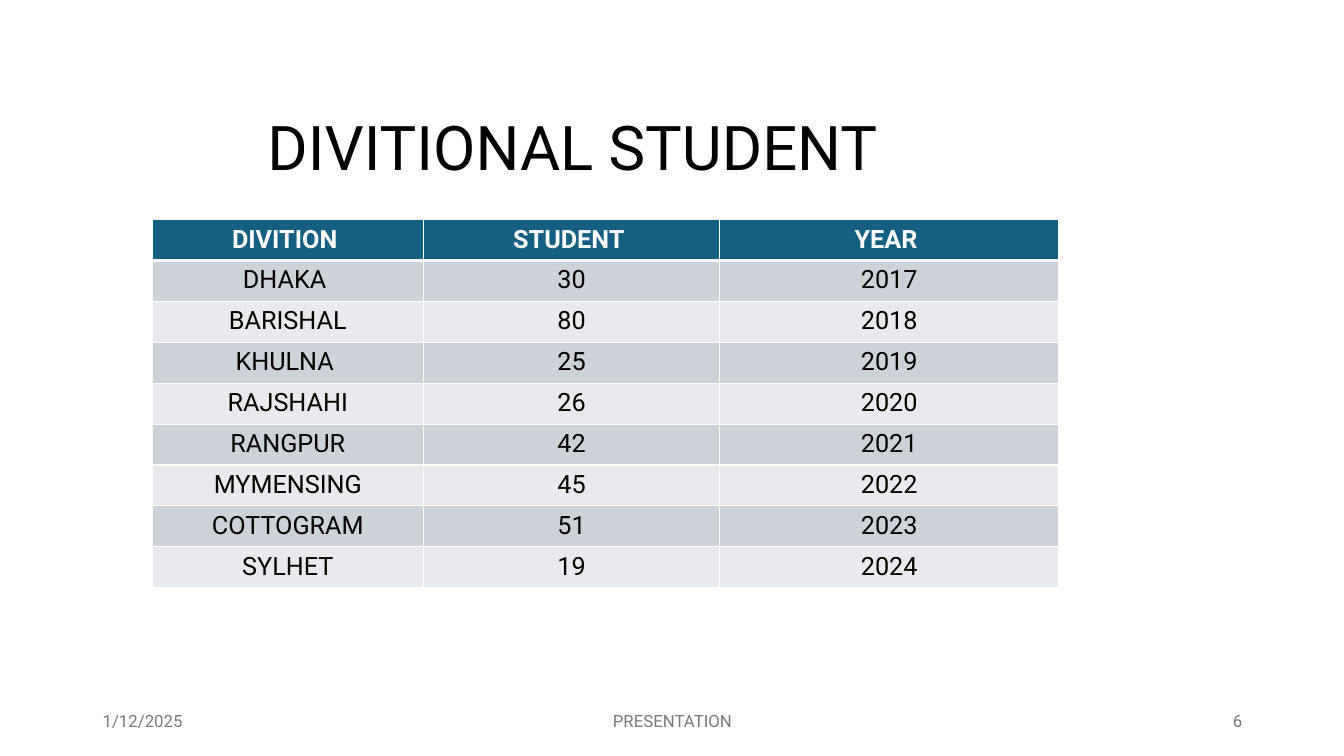
"""Build the divisional student table slide."""
import pptx
import pptx.dml.color
import pptx.enum.text
import pptx.oxml
import pptx.oxml.ns
import pptx.util

Inches = pptx.util.Inches
Pt = pptx.util.Pt
RGB = pptx.dml.color.RGBColor.from_string
ALIGN = pptx.enum.text.PP_ALIGN
ANCHOR = pptx.enum.text.MSO_ANCHOR

COLORS = {
    "ink": "000000",
    "white": "FFFFFF",
    "header": "156082",
    "odd": "CCD2D8",
    "even": "E8EAED",
    "footer": "797979",
}


def write(frame, text, align, size, color, bold=False):
    paragraph = frame.paragraphs[0]
    paragraph.alignment = align
    run = paragraph.add_run()
    run.text = text
    for name, value in {"name": "Roboto", "size": Pt(size), "bold": bold}.items():
        setattr(run.font, name, value)
    run.font.color.rgb = RGB(COLORS[color])
    return paragraph


def add_border(cell, side, width):
    cell._tc.get_or_add_tcPr().append(pptx.oxml.parse_xml(
        f'<a:{side} {pptx.oxml.ns.nsdecls("a")} w="{Pt(width)}"><a:solidFill>'
        f'<a:srgbClr val="{COLORS["white"]}"/></a:solidFill></a:{side}>'))


presentation = pptx.Presentation()
presentation.slide_width = Inches(13.33)
presentation.slide_height = Inches(7.5)
slide = presentation.slides.add_slide(presentation.slide_layouts[5])

heading = slide.shapes.title
box = {"left": 0, "top": 0.77, "width": 11.5, "height": 1.45}
for name, value in box.items():
    setattr(heading, name, Inches(value))
heading.text_frame.auto_size = pptx.enum.text.MSO_AUTO_SIZE.NONE
heading.text_frame.vertical_anchor = ANCHOR.MIDDLE
write(heading.text_frame, "DIVITIONAL STUDENT ", ALIGN.CENTER, 44, "ink").line_spacing = 0.9

divisions = [
    ("DHAKA ", 30),
    ("BARISHAL", 80),
    ("KHULNA ", 25),
    ("RAJSHAHI", 26),
    ("RANGPUR", 42),
    ("MYMENSING", 45),
    ("COTTOGRAM", 51),
    ("SYLHET", 19),
]
records = [("DIVITION ", "STUDENT ", "YEAR ")]
for year, (division, students) in enumerate(divisions, 2017):
    records.append((division, str(students), str(year)))

column_widths = [2.69, 2.94, 3.36]
student_table = slide.shapes.add_table(
    len(records), len(column_widths), Inches(1.51), Inches(2.18),
    Inches(sum(column_widths)), Inches(3.65)).table
for column, width in zip(student_table.columns, column_widths):
    column.width = Inches(width)

for row, record in enumerate(records):
    is_header = row == 0
    band = "header" if is_header else "odd" if row % 2 else "even"
    border_widths = {"lnL": 1, "lnR": 1, "lnT": 3 if row == 1 else 1, "lnB": 3 if is_header else 1}
    for column, value in enumerate(record):
        cell = student_table.cell(row, column)
        for side, width in border_widths.items():
            add_border(cell, side, width)
        cell.fill.solid()
        cell.fill.fore_color.rgb = RGB(COLORS[band])
        write(cell.text_frame, value, ALIGN.CENTER, 18, "white" if is_header else "ink", is_header)

footers = [
    ("1/12/2025", 0.92, 3, ALIGN.LEFT),
    ("PRESENTATION", 4.42, 4.5, ALIGN.CENTER),
    ("6", 9.42, 3, ALIGN.RIGHT),
]
for text, left, width, align in footers:
    footer = slide.shapes.add_textbox(Inches(left), Inches(6.95), Inches(width), Inches(0.4))
    footer.text_frame.word_wrap = True
    footer.text_frame.vertical_anchor = ANCHOR.MIDDLE
    write(footer.text_frame, text, align, 12, "footer")

presentation.save("out.pptx")
